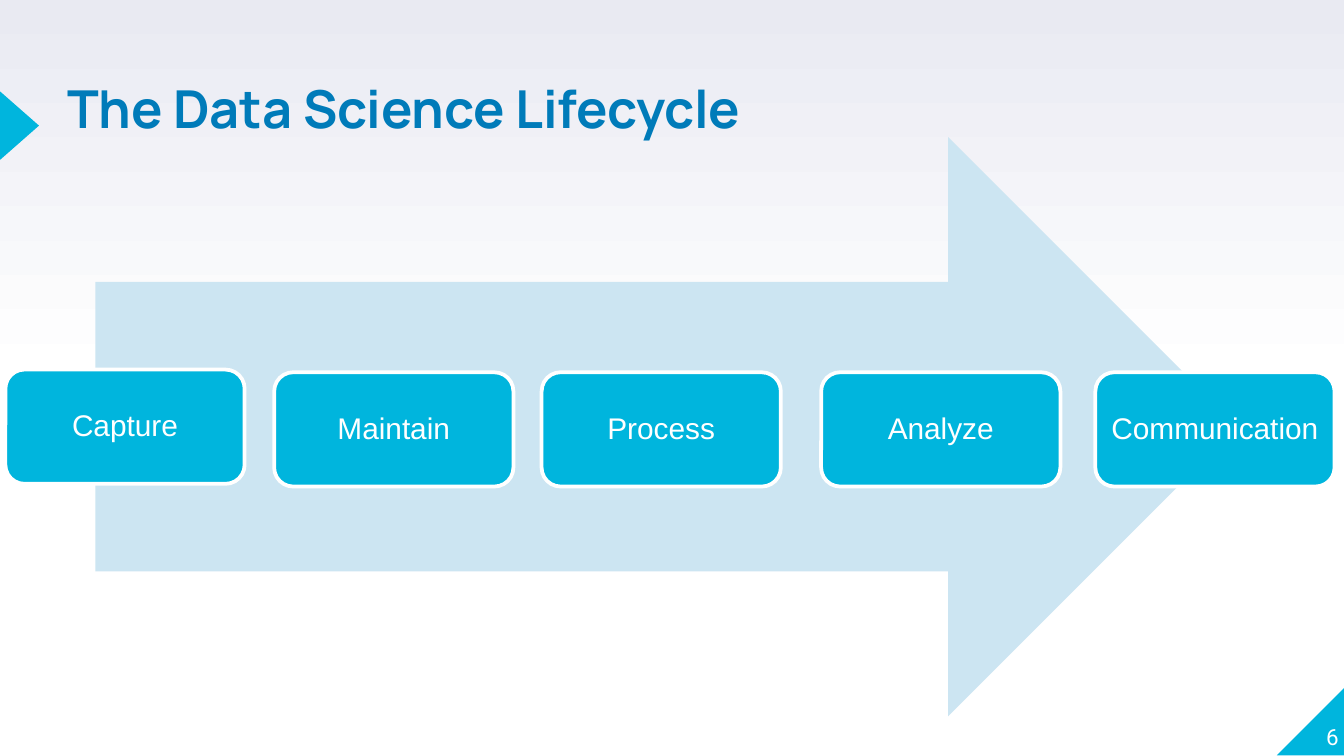
import dataclasses

import pptx
import pptx.dml.color
import pptx.enum.shapes
import pptx.enum.text
import pptx.util

Inches = pptx.util.Inches
SHAPE = pptx.enum.shapes.MSO_SHAPE
ALIGN = pptx.enum.text.PP_ALIGN
ANCHOR = pptx.enum.text.MSO_ANCHOR

COLORS = {
    "cyan": "00B5DD",
    "blue": "007BB9",
    "pale": "CCE5F2",
    "lavender": "E9EAF2",
    "white": "FFFFFF",
}


@dataclasses.dataclass
class Box:
    x: float
    y: float
    w: float
    h: float

    def lengths(self):
        return [Inches(v) for v in (self.x, self.y, self.w, self.h)]


@dataclasses.dataclass
class Stage:
    name: str
    x: float
    y: float = 2.77


STAGES = [
    Stage("Capture", 0.04, 2.75),
    Stage("Maintain", 2.04),
    Stage("Process", 4.03),
    Stage("Analyze", 6.11),
    Stage("Communication", 8.15),
]


def rgb(name: str):
    return pptx.dml.color.RGBColor.from_string(COLORS[name])


def write(sp, text: str, *, size: float, font: str, color: str, bold=False,
          align=ALIGN.LEFT, anchor=ANCHOR.TOP, spacing=1.0, inset=0.0) -> None:
    tf = sp.text_frame
    tf.word_wrap = True
    tf.vertical_anchor = anchor
    tf.margin_left = tf.margin_right = Inches(inset)
    tf.margin_top = tf.margin_bottom = Inches(inset)
    p = tf.paragraphs[0]
    p.alignment = align
    p.line_spacing = spacing
    r = p.add_run()
    r.text = text
    r.font.size = pptx.util.Pt(size)
    r.font.name = font
    r.font.bold = bold
    r.font.color.rgb = rgb(color)


def add_shape(s, kind, box: Box, fill: str, rotation: float = 0):
    sp = s.shapes.add_shape(kind, *box.lengths())
    sp.shadow.inherit = False
    sp.rotation = rotation
    sp.fill.solid()
    sp.fill.fore_color.rgb = rgb(fill)
    sp.line.fill.background()
    return sp


def add_stage(s, stage: Stage) -> None:
    sp = add_shape(s, SHAPE.ROUNDED_RECTANGLE, Box(stage.x, stage.y, 1.78, 0.85), "cyan")
    sp.line.color.rgb = rgb("white")
    sp.line.width = pptx.util.Pt(2)
    write(sp, stage.name, size=16, font="Arial", color="white", align=ALIGN.CENTER,
          anchor=ANCHOR.MIDDLE, spacing=0.9, inset=0.07)


def set_background(s) -> None:
    fill = s.background.fill
    fill.gradient()
    fill.gradient_angle = 90
    for stop, color, position in zip(fill.gradient_stops, ("white", "lavender"), (0.5, 1)):
        stop.color.rgb = rgb(color)
        stop.position = position


def main() -> None:
    prs = pptx.Presentation()
    prs.slide_width = Inches(10)
    prs.slide_height = Inches(5.625)
    s = prs.slides.add_slide(prs.slide_layouts[6])
    set_background(s)

    add_shape(s, SHAPE.RIGHT_TRIANGLE, Box(9.5, 5.11, 0.51, 0.51), "cyan", rotation=270)
    add_shape(s, SHAPE.ISOSCELES_TRIANGLE, Box(-0.11, 0.79, 0.51, 0.29), "cyan", rotation=90)

    title = s.shapes.add_textbox(*Box(0.5, 0.66, 8.68, 1.18).lengths())
    write(title, "The Data Science Lifecycle", size=28, font="Manrope", color="blue",
          bold=True, spacing=0.8)
    number = s.shapes.add_textbox(*Box(9.46, 5.07, 0.5, 0.51).lengths())
    write(number, "6", size=12, font="Roboto", color="white", align=ALIGN.RIGHT,
          anchor=ANCHOR.BOTTOM)

    add_shape(s, SHAPE.RIGHT_ARROW, Box(0.71, 1.02, 8.5, 4.31), "pale")
    for stage in STAGES:
        add_stage(s, stage)

    prs.save("out.pptx")


if __name__ == "__main__":
    main()
